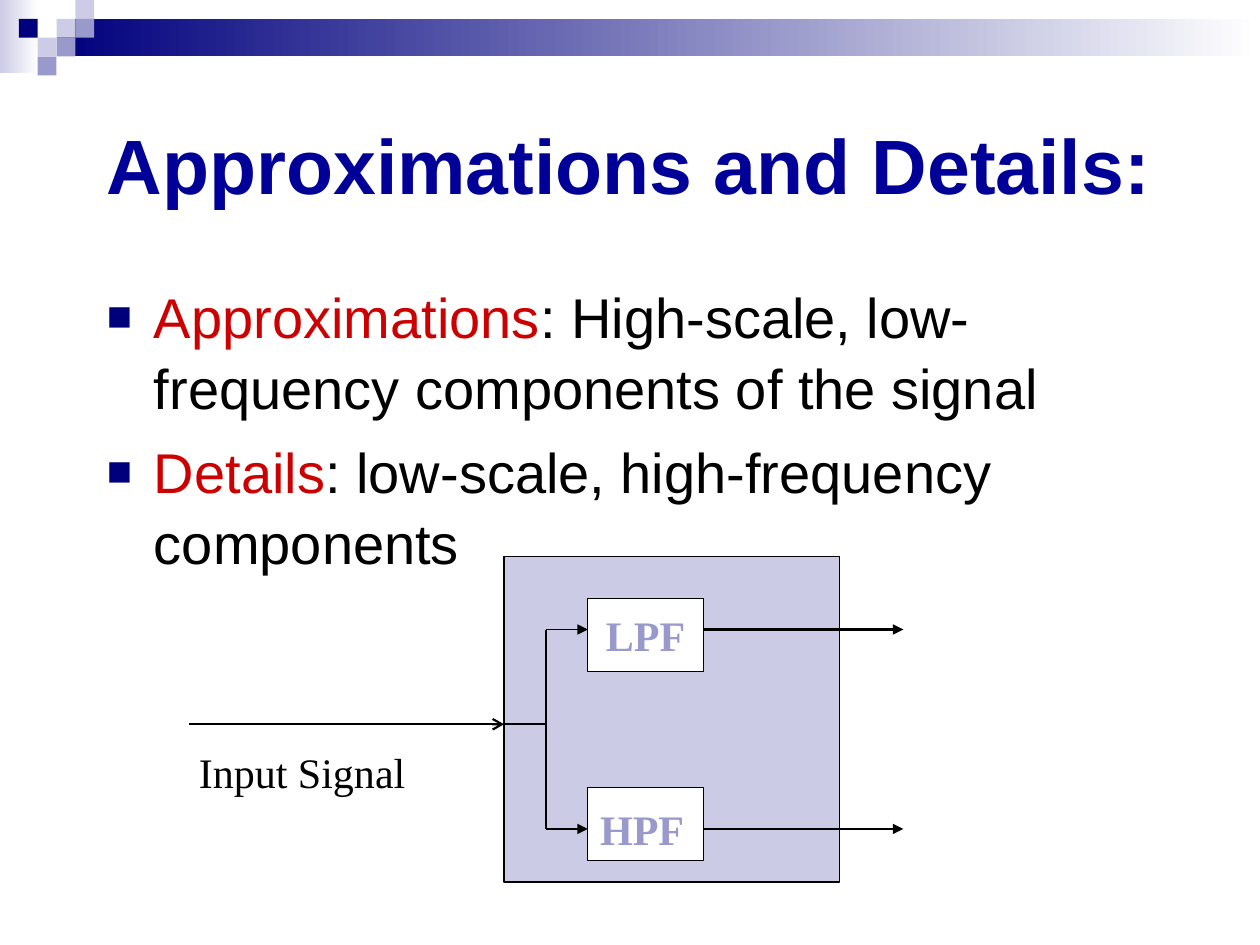
from lxml import etree
from pptx import Presentation
from pptx.dml.color import RGBColor
from pptx.enum.shapes import MSO_CONNECTOR as Connector, MSO_SHAPE as Shape
from pptx.enum.text import MSO_ANCHOR as Anchor, MSO_AUTO_SIZE as AutoSize, PP_ALIGN as Align
from pptx.oxml.ns import qn
from pptx.util import Cm, Pt

COLORS = {
    "navy": "00007D", "title": "000099", "mid": "9999CC", "pale": "CCCCE6",
    "term": "CC0000", "black": "000000", "white": "FFFFFF",
}
DEFINITIONS = [
    ("Approximations", ": High-scale, low-frequency components of the signal"),
    ("Details", ": low-scale, high-frequency components"),
]
# Column, row and colour of each square in the corner mosaic
MOSAIC = [
    (3, 1, "pale"), (4, 0, "pale"), (4, 1, "mid"), (2, 2, "pale"),
    (1, 1, "navy"), (3, 2, "mid"), (2, 3, "mid"),
]


def color(name):
    return RGBColor.from_string(COLORS[name])


def place(item, box):
    item.left, item.top, item.width, item.height = (Cm(v) for v in box)


def add_run(paragraph, text, size, font, ink, bold=False):
    run = paragraph.add_run()
    run.text = text
    run.font.size, run.font.name, run.font.bold = Pt(size), font, bold
    run.font.color.rgb = color(ink)


def add_rect(slide, box, fill, outlined=False, fade=False, alpha=None):
    """Rectangle in a solid colour, or fading to white towards the right."""
    rect = slide.shapes.add_shape(Shape.RECTANGLE, *(Cm(v) for v in box))
    rect.shadow.inherit = False
    if fade:
        rect.fill.gradient()
        rect.fill.gradient_angle = 0
        for stop, name in zip(rect.fill.gradient_stops, (fill, "white")):
            stop.color.rgb = color(name)
    else:
        rect.fill.solid()
        rect.fill.fore_color.rgb = color(fill)
    if alpha:
        tint = rect.fill._xPr.find(qn("a:solidFill"))[0]
        etree.SubElement(tint, qn("a:alpha"), val=str(alpha * 1000))
    if outlined:
        rect.line.color.rgb = color("black")
        rect.line.width = Pt(0.75)
    else:
        rect.line.fill.background()
    return rect


def add_wire(slide, start, end, head=None, width=1.25):
    wire = slide.shapes.add_connector(
        Connector.STRAIGHT, *(Cm(v) for v in (*start, *end)))
    wire.line.color.rgb = color("black")
    wire.line.width = Pt(width)
    if head:
        etree.SubElement(wire.line._get_or_add_ln(), qn("a:tailEnd"), type=head)
    etree.SubElement(wire._element.spPr, qn("a:effectLst"))


def add_label(slide, box, text, ink, bold=False):
    label = slide.shapes.add_textbox(*(Cm(v) for v in box))
    label.text_frame.word_wrap = True
    add_run(label.text_frame.paragraphs[0], text, 24, "Times New Roman", ink, bold)


def add_header(slide, box):
    left, top, width, height = box
    unit = 0.38
    add_rect(slide, (left, top, 0.78, height), "pale", fade=True)
    band_left = 3 * unit
    add_rect(slide, (left + band_left, top + unit, width - band_left, 2 * unit),
             "navy", fade=True)
    for column, row, fill in MOSAIC:
        add_rect(slide, (left + column * unit, top + row * unit, unit, unit), fill)


def fill_title(title, box):
    place(title, box)
    frame = title.text_frame
    frame.auto_size = AutoSize.NONE
    frame.vertical_anchor = Anchor.MIDDLE
    heading = frame.paragraphs[0]
    heading.alignment = Align.LEFT
    add_run(heading, "Approximations and Details:", 44, "Arial", "title", True)


def add_bullet(paragraph):
    props = paragraph._p.get_or_add_pPr()
    props.set("marL", str(Cm(0.95)))
    props.set("indent", str(Cm(-0.95)))
    bullet_color = etree.SubElement(props, qn("a:buClr"))
    etree.SubElement(bullet_color, qn("a:srgbClr"), val=COLORS["navy"])
    etree.SubElement(props, qn("a:buSzPct"), val="75000")
    etree.SubElement(props, qn("a:buFont"), typeface="Arial")
    etree.SubElement(props, qn("a:buChar"), char="■")


def fill_definitions(body, box):
    place(body, box)
    frame = body.text_frame
    frame.auto_size = AutoSize.NONE
    for index, (term, meaning) in enumerate(DEFINITIONS):
        paragraph = frame.add_paragraph() if index else frame.paragraphs[0]
        add_bullet(paragraph)
        paragraph.space_before = Pt(8 if index else 0)
        paragraph.line_spacing = 1.05
        add_run(paragraph, term, 32, "Arial", "term")
        add_run(paragraph, meaning, 32, "Arial", "black")


def add_filter_bank(slide, box):
    """Input signal split into a low-pass and a high-pass branch."""
    left, top, width, height = box

    def at(x, y):
        return left + x, top + y

    bank_x, fork_x, filter_x = 6.35, 7.2, 8.04
    filter_width, filter_height = 2.33, 1.48
    input_y, low_y, high_y = 3.38, 1.47, 5.49

    add_rect(slide, (*at(bank_x, 0), 6.77, height), "mid", outlined=True, alpha=50)
    add_wire(slide, at(0, input_y), at(bank_x, input_y), "arrow")
    add_label(slide, (*at(-0.05, 3.7), 5.54, 1.27), "Input Signal", "black")
    add_wire(slide, at(bank_x, input_y), at(fork_x, input_y))
    add_wire(slide, at(fork_x, low_y), at(fork_x, high_y))

    filters = []
    for branch_y, filter_y, weight in ((low_y, 0.84, 0.75), (high_y, 4.65, 1.25)):
        add_wire(slide, at(fork_x, branch_y), at(filter_x, branch_y), "triangle", weight)
        filters.append(add_rect(
            slide, (*at(filter_x, filter_y), filter_width, filter_height),
            "white", outlined=True))
        add_wire(slide, at(filter_x + filter_width, branch_y), at(width, branch_y),
                 "triangle")

    low_pass = filters[0].text_frame
    low_pass.word_wrap = False
    low_pass.vertical_anchor = Anchor.MIDDLE
    low_pass.paragraphs[0].alignment = Align.CENTER
    add_run(low_pass.paragraphs[0], "LPF", 24, "Times New Roman", "mid", True)
    add_label(slide, (*at(filter_x, 4.85), 2.74, 1.27), "HPF", "mid", True)


def main():
    deck = Presentation()
    deck.slide_width, deck.slide_height = Cm(25.4), Cm(19.05)
    slide = deck.slides.add_slide(deck.slide_layouts[1])
    add_header(slide, (0, 0, 25.4, 1.47))
    fill_title(slide.shapes.title, (1.9, 1.7, 21.6, 3.18))
    fill_definitions(slide.placeholders[1], (1.9, 5.5, 21.6, 6.15))
    add_filter_bank(slide, (3.81, 11.22, 14.4, 6.56))
    deck.save("out.pptx")


if __name__ == "__main__":
    main()
